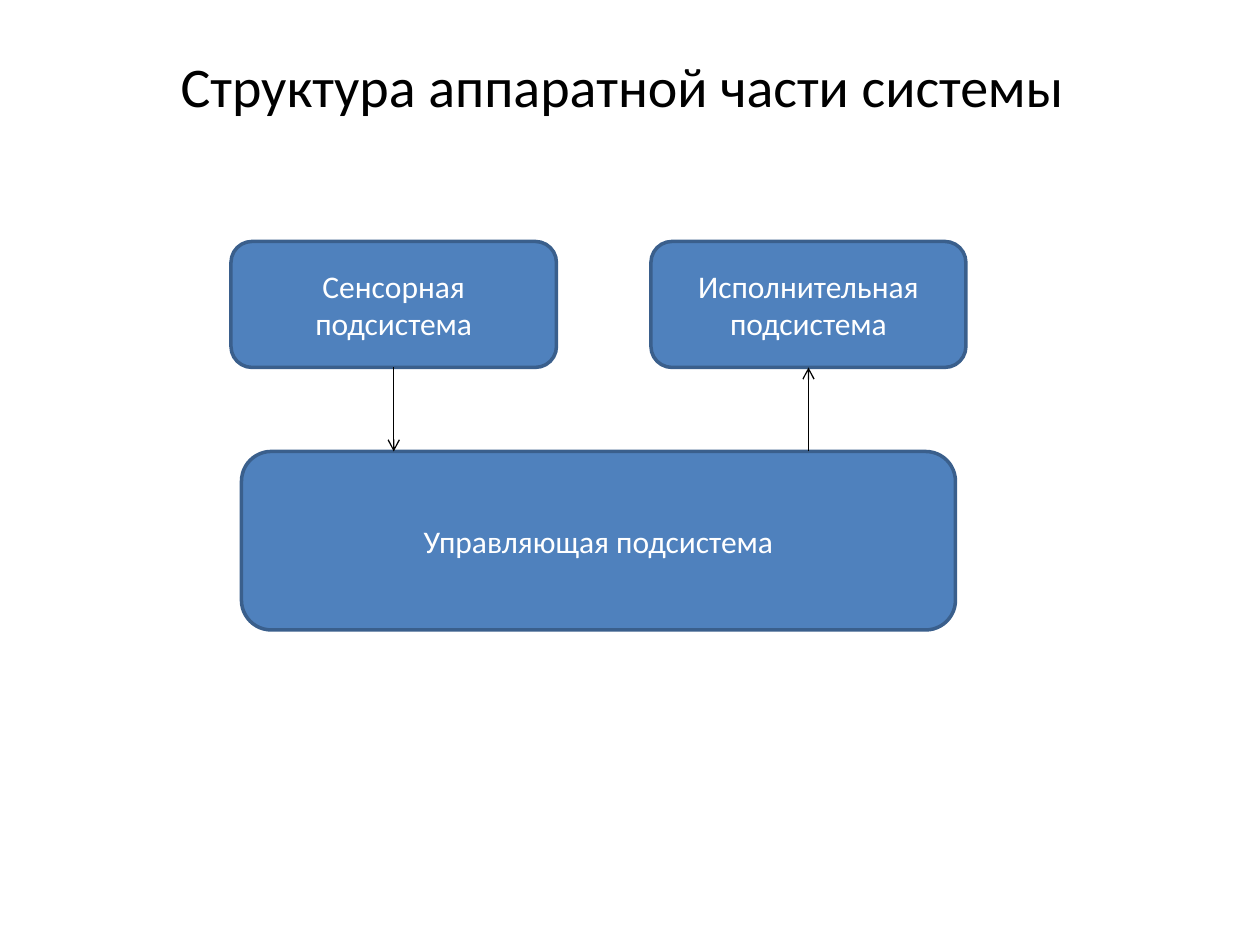
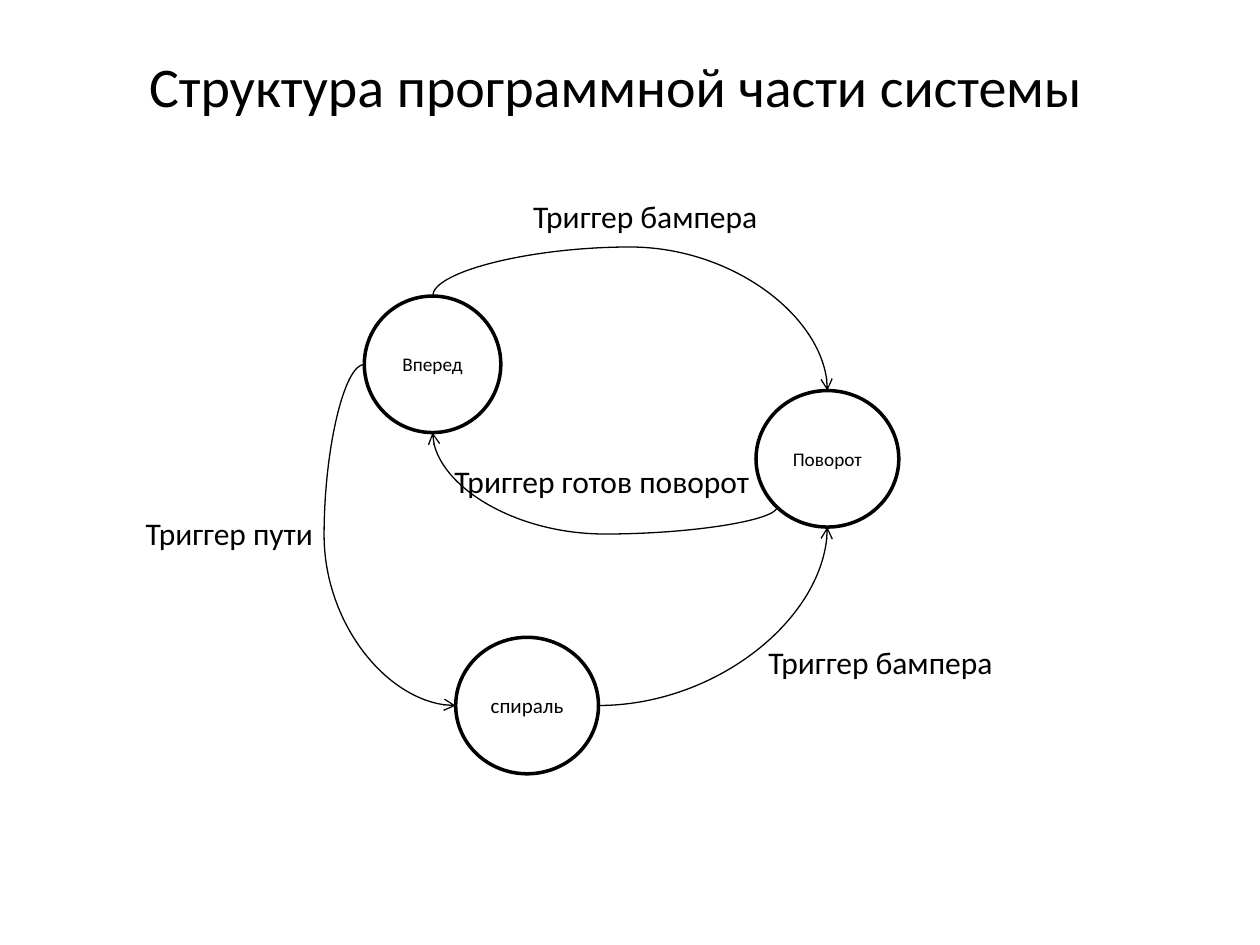
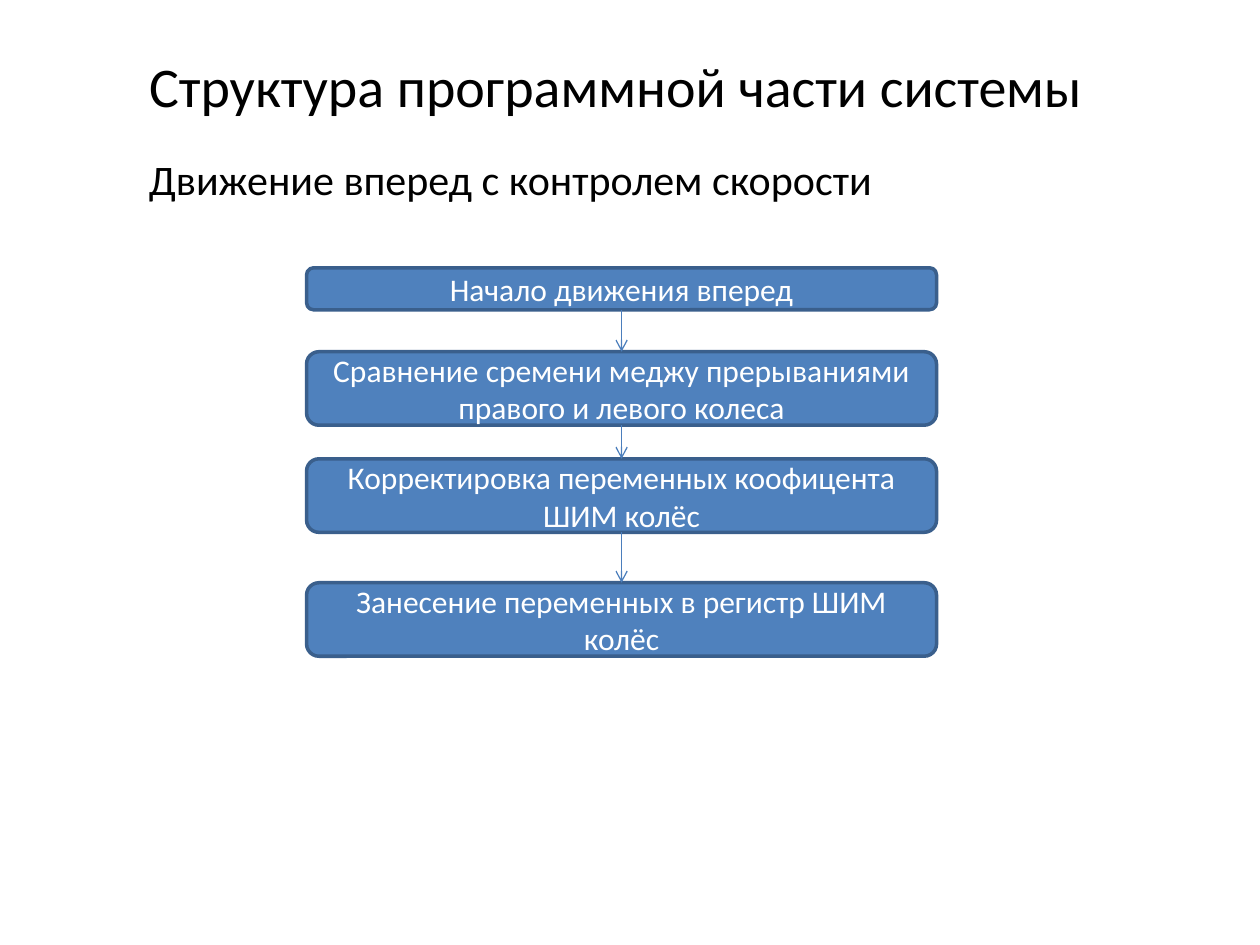
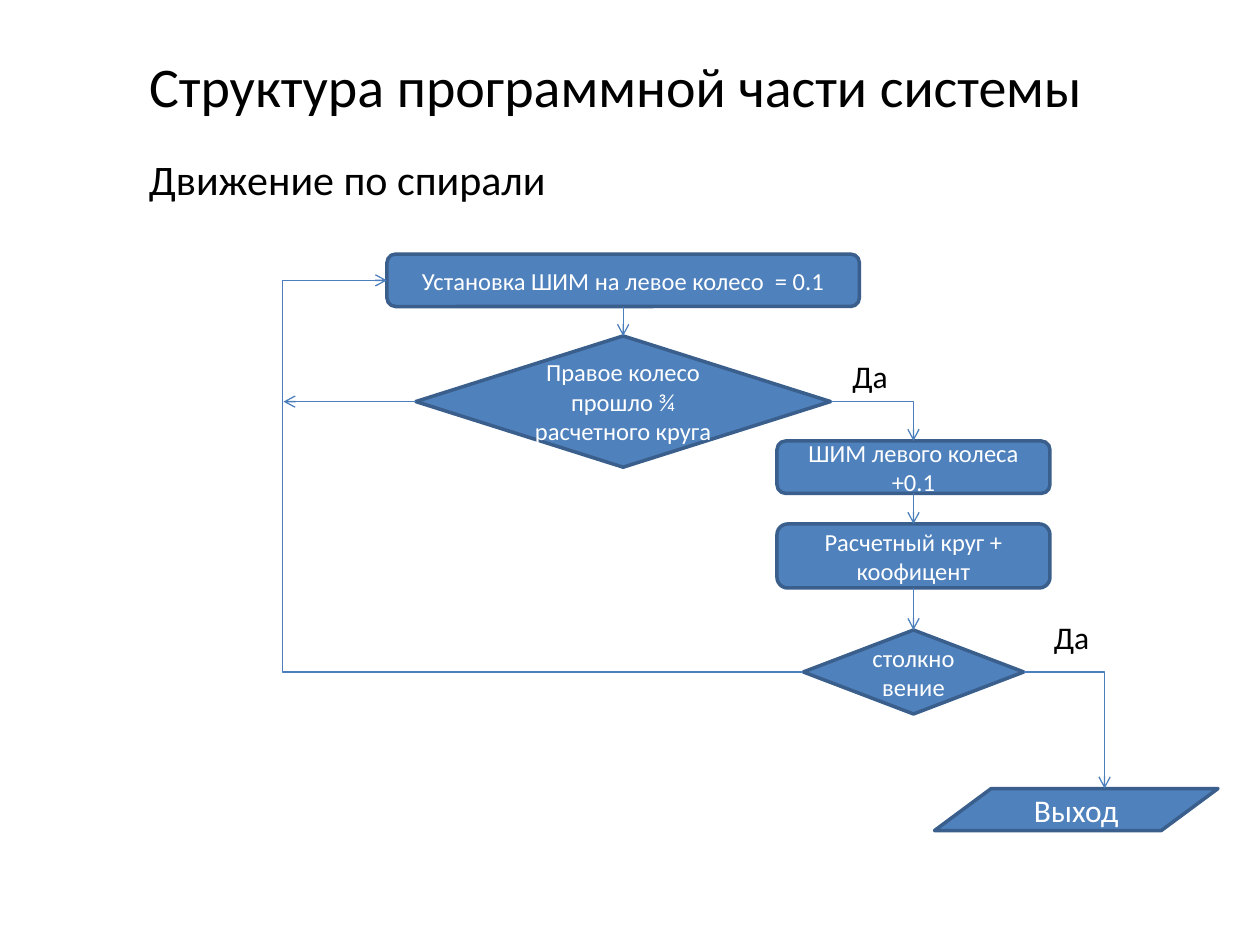
"""Build four slides on the structure of a robot control system."""
from dataclasses import dataclass
from math import cos, radians, sin
from typing import Any

from lxml.etree import SubElement
from pptx import Presentation
from pptx.dml.color import RGBColor as Rgb
from pptx.enum.shapes import MSO_CONNECTOR as Link, MSO_SHAPE as Form
from pptx.enum.text import MSO_ANCHOR as Anchor, MSO_AUTO_SIZE as Fit, PP_ALIGN as Align
from pptx.oxml.ns import qn
from pptx.util import Inches, Pt

WIDTH, HEIGHT = Inches(10), Inches(7.5)
COLS, ROWS = 120, 90
FONT = "Calibri"
HUES = {"ink": "000000", "paper": "FFFFFF", "fill": "4F81BD",
        "edge": "3A5F8C", "flow": "4B7EBC"}
TITLE = "Структура программной части системы"

SIDES = [(0.5, 0), (0, 0.5), (0.5, 1), (1, 0.5)]
RIM = [(0.5, 0), (0.15, 0.15), (0, 0.5), (0.15, 0.85),
       (0.5, 1), (0.85, 0.85), (1, 0.5), (0.85, 0.15)]
SITES = {Form.OVAL: RIM, Form.FLOWCHART_DATA: [(0.6, 0)]}


def span(col, row):
    """Turn grid columns and rows into slide lengths."""
    return round(col * WIDTH / COLS), round(row * HEIGHT / ROWS)


def hue(name):
    """Look up a colour."""
    return Rgb.from_string(HUES[name])


@dataclass
class Area:
    """A region of a slide whose parts sit relative to its corner."""
    slide: Any
    col: float
    row: float

    def spot(self, col, row):
        """Give the slide point of a grid point in this region."""
        return span(self.col + col, self.row + row)

    def box(self, col, row, wide, high):
        """Give the left, top, width and height of a part."""
        return *self.spot(col, row), *span(wide, high)


def write(frame, text, size, tint, align=Align.LEFT):
    """Write one run of styled text."""
    para = frame.paragraphs[0]
    para.alignment = align
    run = para.add_run()
    run.text = text
    run.font.name, run.font.size = FONT, Pt(size)
    run.font.color.rgb = hue(tint)


def loose(frame, text, size):
    """Write text that does not wrap and sizes its own box."""
    frame.word_wrap = False
    frame.auto_size = Fit.SHAPE_TO_FIT_TEXT
    frame.vertical_anchor = Anchor.TOP
    write(frame, text, size, "ink")


def label(area, text, col, row, wide, high=4.8, size=18):
    """Add a text label."""
    item = area.slide.shapes.add_textbox(*area.box(col, row, wide, high))
    loose(item.text_frame, text, size)


def node(area, form, text, box, size=18, look=("fill", "edge", "paper")):
    """Add a shape with centred text."""
    fill, edge, tint = look
    item = area.slide.shapes.add_shape(form, *area.box(*box))
    item.shadow.inherit = False
    item.fill.solid()
    item.fill.fore_color.rgb = hue(fill)
    item.line.color.rgb, item.line.width = hue(edge), Pt(2)
    item.text_frame.word_wrap = True
    item.text_frame.vertical_anchor = Anchor.MIDDLE
    write(item.text_frame, text, size, tint, Align.CENTER)
    return item


def draw(slide, kind, start, end, tint):
    """Draw a connector with an arrowhead at its end."""
    link = slide.shapes.add_connector(kind, *start, *end)
    link.line.color.rgb, link.line.width = hue(tint), Pt(0.75)
    SubElement(link.line._get_or_add_ln(), qn("a:tailEnd"), type="arrow")
    SubElement(link.element.spPr, qn("a:effectLst"))
    return link


def dock(item, site):
    """Find the point of a connection site."""
    x, y = SITES.get(item.auto_shape_type, SIDES)[site]
    return round(item.left + x * item.width), round(item.top + y * item.height)


def drop(slide, items):
    """Join each shape's foot to the head of the next one."""
    for one, two in zip(items, items[1:]):
        link = draw(slide, Link.STRAIGHT, dock(one, 2), dock(two, 0), "flow")
        link.begin_connect(one, 2)
        link.end_connect(two, 0)


def route(slide, kind, preset, start, end, tint, turn=0, bend=None):
    """Join two sites with a turned curve or elbow."""
    (ax, ay), (bx, by) = dock(*start), dock(*end)
    mx, my, dx, dy = (ax + bx) / 2, (ay + by) / 2, (bx - ax) / 2, (by - ay) / 2
    c, s = cos(radians(turn)), sin(radians(turn))
    ux, uy = dx * c + dy * s, dy * c - dx * s
    link = draw(slide, kind, (round(mx - ux), round(my - uy)),
                (round(mx + ux), round(my + uy)), tint)
    props = link.element.spPr
    if turn:
        props.find(qn("a:xfrm")).set("rot", str(turn * 60000))
    geom = props.find(qn("a:prstGeom"))
    geom.set("prst", preset)
    if bend is not None:
        SubElement(geom.find(qn("a:avLst")), qn("a:gd"), name="adj1",
                   fmla=f"val {round(bend * 100000)}")
    ends = link.element.find(qn("p:nvCxnSpPr")).find(qn("p:cNvCxnSpPr"))
    for tag, (item, site) in (("a:stCxn", start), ("a:endCxn", end)):
        SubElement(ends, qn(tag), id=str(item.shape_id), idx=str(site))


def page(deck, title, col=13, wide=92.6, topic=None):
    """Add a slide with its title and an optional topic line."""
    slide = deck.slides.add_slide(deck.slide_layouts[5])
    head = slide.shapes.title
    area = Area(slide, col, 4.3)
    head.left, head.top, head.width, head.height = area.box(0, 0, wide, 7.7)
    loose(head.text_frame, title, 32)
    if topic:
        text, size = topic
        label(area, text, 0, 9.7, size, 6, 24)
    return slide


def parts(area):
    """Draw the three hardware subsystems."""
    form = Form.ROUNDED_RECTANGLE
    sense = node(area, form, "Сенсорная подсистема", (0, 0, 31, 12))
    act = node(area, form, "Исполнительная подсистема", (40, 0, 30, 12))
    node(area, form, "Управляющая подсистема", (1, 20, 68, 17))
    down = draw(area.slide, Link.STRAIGHT, dock(sense, 2), area.spot(15.5, 20), "ink")
    down.begin_connect(sense, 2)
    rise = draw(area.slide, Link.STRAIGHT, area.spot(55, 20), dock(act, 2), "ink")
    rise.end_connect(act, 2)


def states(area):
    """Draw the state circles and the triggers between them."""
    look = ("paper", "ink", "ink")
    ahead, coil, veer = [
        node(area, Form.OVAL, text, (col, row, wide, 13), size, look)
        for text, col, row, wide, size in (
            ("Вперед", 22.7, 10.2, 13, 11),
            ("спираль", 31.4, 42.7, 13.6, 12),
            ("Поворот", 60, 19.2, 13.6, 11))]
    for start, end, turn, bend in (
            ((ahead, 0), (veer, 0), 270, -0.52),
            ((veer, 3), (ahead, 4), 90, -0.37),
            ((ahead, 2), (coil, 2), 180, -0.44)):
        route(area.slide, Link.CURVE, "curvedConnector3", start, end, "ink", turn, bend)
    route(area.slide, Link.CURVE, "curvedConnector2", (coil, 6), (veer, 4), "ink")
    label(area, "Триггер готов поворот", 30.1, 25.4, 30.8)
    label(area, "Триггер бампера", 37.6, 0.2, 24)
    label(area, "Триггер пути", 0.7, 30.4, 18.6)
    label(area, "Триггер бампера", 60, 42.7, 24)


def steps(area):
    """Draw the steps of forward motion."""
    items = [node(area, Form.ROUNDED_RECTANGLE, text, (0, row, 60, high))
             for text, row, high in (
                 ("Начало движения вперед", 0, 4),
                 ("Сравнение сремени меджу прерываниями правого и левого колеса", 8, 7),
                 ("Корректировка переменных коофицента ШИМ колёс", 18.2, 7),
                 ("Занесение переменных в регистр ШИМ колёс", 30, 7))]
    drop(area.slide, items)


def spiral(area):
    """Draw the flow chart of spiral motion."""
    slide, step, test = area.slide, Form.FLOWCHART_ALTERNATE_PROCESS, Form.FLOWCHART_DECISION
    lap = node(area, test, "Правое колесо прошло ¾ расчетного круга",
               (12.6, 8, 39.5, 12.5), 14)
    begin = node(area, step, "Установка ШИМ на левое колесо  = 0.1",
                 (9.85, 0.2, 45, 5), 14)
    boost = node(area, step, "ШИМ левого колеса +0.1", (47, 18, 26, 5), 14)
    ring = node(area, step, "Расчетный круг + коофицент", (47, 25.9, 26, 6.1), 14)
    crash = node(area, test, "столкновение", (49.5, 36, 21, 8), 14)
    leave = node(area, Form.FLOWCHART_DATA, "Выход", (62, 51.1, 27, 4))
    for start, end in (((lap, 3), (boost, 0)), ((crash, 3), (leave, 0))):
        route(slide, Link.ELBOW, "bentConnector2", start, end, "flow")
    route(slide, Link.ELBOW, "bentConnector3", (crash, 1), (begin, 1), "flow", 180, 1.25)
    drop(slide, [begin, lap])
    drop(slide, [boost, ring, crash])
    back = draw(slide, Link.STRAIGHT, dock(lap, 1), area.spot(0, 14.25), "flow")
    back.begin_connect(lap, 1)
    label(area, "Да", 53, 9.4, 5.9)
    label(area, "Да", 72.2, 34.3, 5.9)


def main():
    """Build and save the deck."""
    deck = Presentation()
    deck.slide_width, deck.slide_height = WIDTH, HEIGHT
    parts(Area(page(deck, "Структура аппаратной части системы", 16, 87.4), 22, 23))
    states(Area(page(deck, TITLE), 12, 18))
    steps(Area(page(deck, TITLE, topic=("Движение вперед с контролем скорости", 72)),
               29.2, 25.5))
    spiral(Area(page(deck, TITLE, topic=("Движение по спирали", 40.7)), 27, 24))
    deck.save("out.pptx")


if __name__ == "__main__":
    main()
